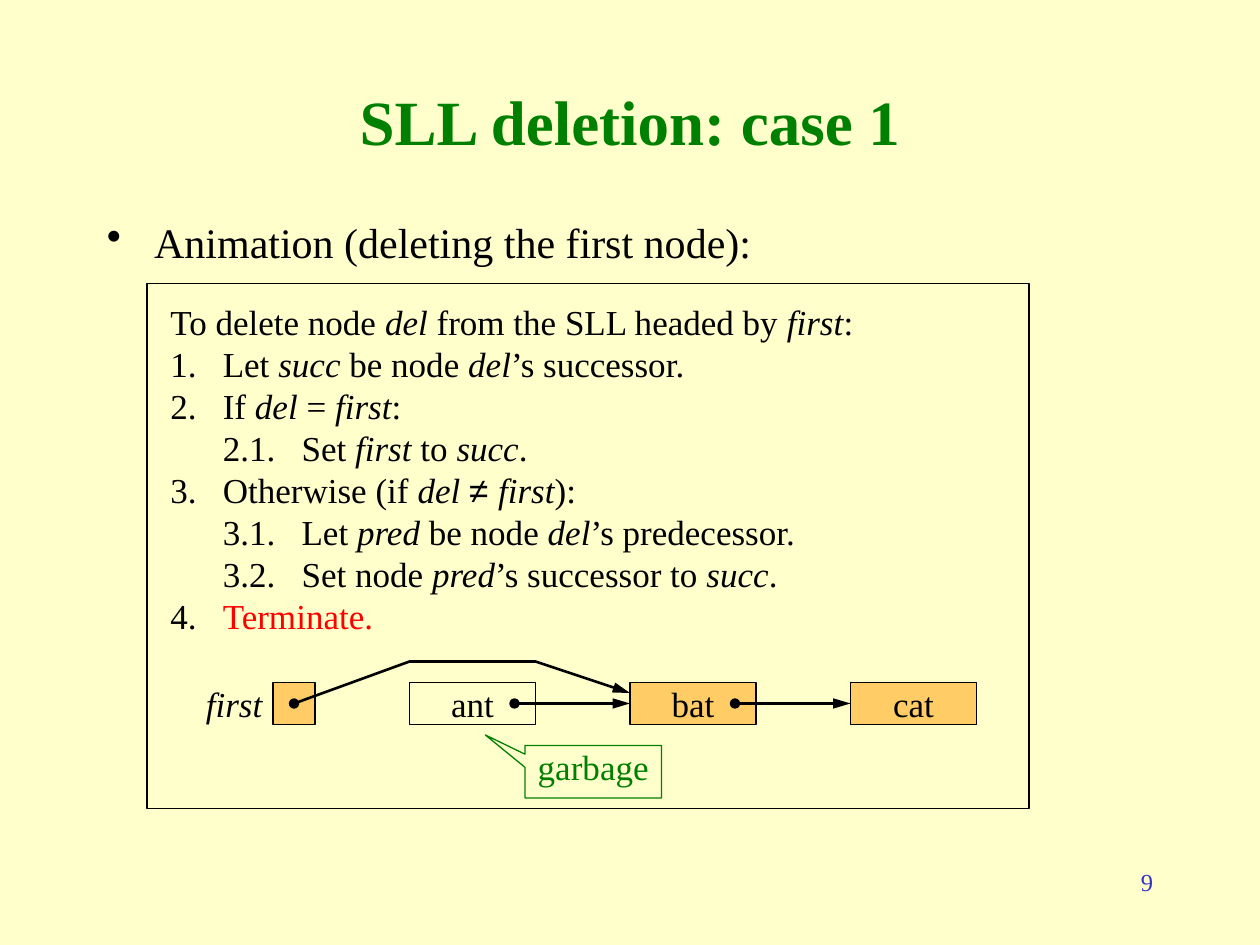
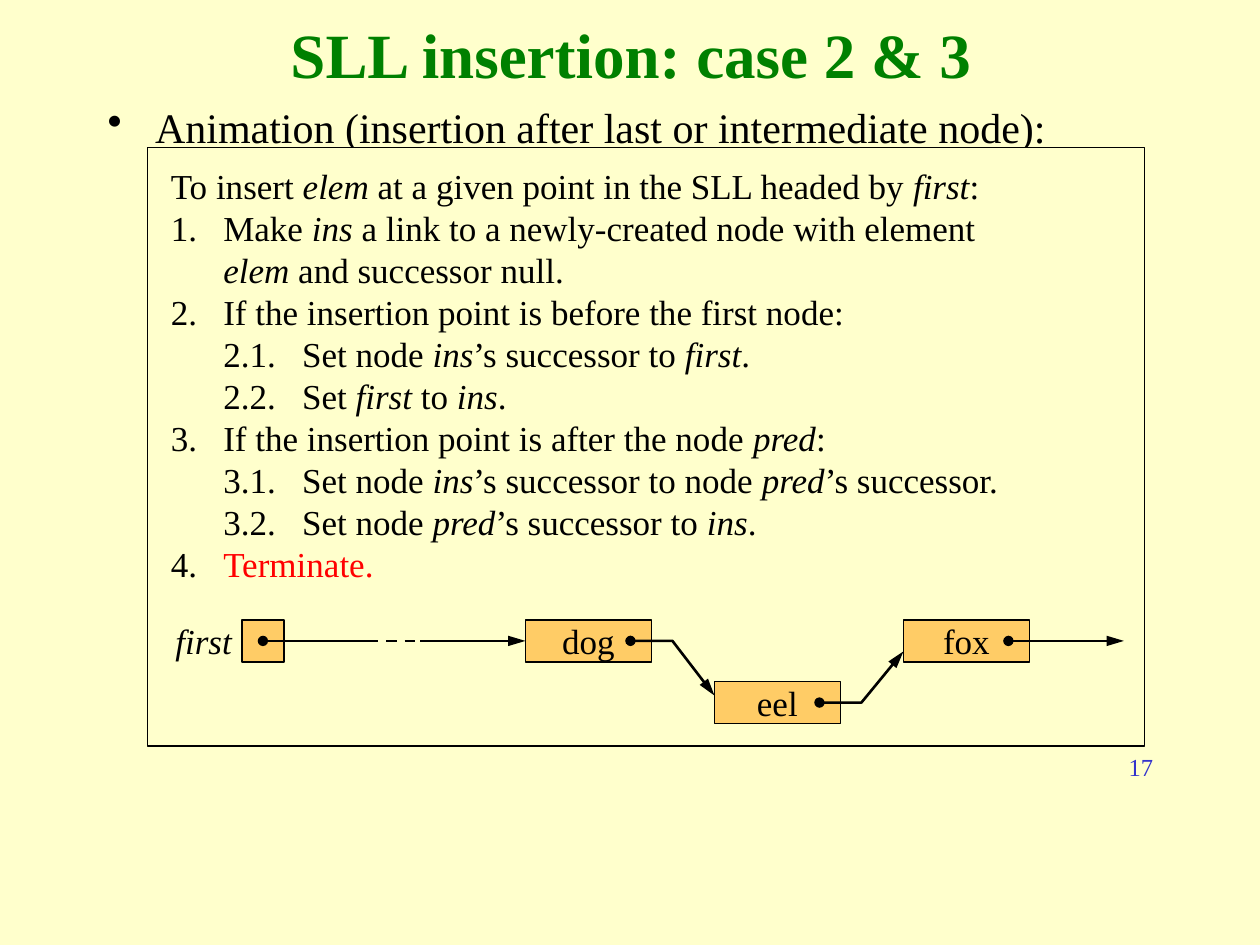
import pptx
import pptx.dml.color
import pptx.enum.dml
import pptx.enum.shapes
import pptx.enum.text
import pptx.oxml
import pptx.oxml.ns
import pptx.util
from lxml import etree

Pt = pptx.util.Pt
RGBColor = pptx.dml.color.RGBColor
ALIGN = pptx.enum.text.PP_ALIGN
ANCHOR = pptx.enum.text.MSO_ANCHOR
SHAPE = pptx.enum.shapes.MSO_SHAPE
qn = pptx.oxml.ns.qn

CREAM = RGBColor(0xFF, 0xFF, 0xCC)
ORANGE = RGBColor(0xFF, 0xCC, 0x66)
GREEN = RGBColor(0x00, 0x80, 0x00)
BLUE = RGBColor(0x33, 0x33, 0xCC)
RED = RGBColor(0xFF, 0x00, 0x00)
BLACK = RGBColor(0x00, 0x00, 0x00)

SERIF = "Times New Roman"
SYMBOL_FONT = "Arial"
LINE_PITCH = 24
CELL = 24          # height of a node, and side of the "first" cell
NODE_WIDTH = 72
STEP_INDENT = 30
SUBSTEP_INDENT = 75

# A mark switches a style on, and the same mark switches it off again.
ITALIC, HIGHLIGHT, SYMBOL = "*", "~", "^"

DELETION_STEPS = [
    "To delete node *del* from the SLL headed by *first*:",
    "1.\tLet *succ* be node *del*’s successor.",
    "2.\tIf *del* = *first*:",
    "2.1.\tSet *first* to *succ*.",
    "3.\tOtherwise (if *del *^≠ ^*first*):",
    "3.1.\tLet *pred* be node *del*’s predecessor.",
    "3.2.\tSet node *pred*’s successor to *succ*.",
    "4.\t~Terminate.~",
]
INSERTION_STEPS = [
    "To insert *elem* at a given point in the SLL headed by *first*:",
    "1.\tMake *ins* a link to a newly-created node with element *elem* and successor null.",
    "2.\tIf the insertion point is before the first node:",
    "2.1.\tSet node *ins*’s successor to *first*.",
    "2.2.\tSet *first* to *ins*.",
    "3.\tIf the insertion point is after the node *pred*:",
    "3.1.\tSet node *ins*’s successor to node *pred*’s successor.",
    "3.2.\tSet node *pred*’s successor to *ins*.",
    "4.\t~Terminate.~",
]


def split_marks(text):
    """Yield (piece, mark) pairs, where mark is None for plain text."""
    piece, active = "", None
    for char in text:
        if char in (ITALIC, HIGHLIGHT, SYMBOL):
            if piece:
                yield piece, active
            piece, active = "", None if char == active else char
        else:
            piece += char
    if piece:
        yield piece, active


def set_indent(paragraph, left, hanging, bullet=None):
    props = paragraph._p.get_or_add_pPr()
    props.set("marL", str(Pt(left)))
    props.set("indent", str(-Pt(hanging)))
    if bullet:
        etree.SubElement(props, qn("a:buChar")).set("char", bullet)


def write(frame, text, size=20, color=BLACK, bold=False, align=ALIGN.LEFT,
          anchor=ANCHOR.TOP, insets=(0, 0), pitch=None, bullet=None):
    """Fill a text frame, one paragraph for each line of text."""
    frame.word_wrap = True
    frame.vertical_anchor = anchor
    frame.margin_left = frame.margin_right = Pt(insets[0])
    frame.margin_top = frame.margin_bottom = Pt(insets[1])
    for number, line in enumerate(text.split("\n")):
        paragraph = frame.add_paragraph() if number else frame.paragraphs[0]
        label = line.partition("\t")[0]
        if bullet:
            set_indent(paragraph, 27, 27, bullet)
        elif label != line:
            if label.count(".") == 2:
                set_indent(paragraph, SUBSTEP_INDENT, SUBSTEP_INDENT - STEP_INDENT)
            else:
                set_indent(paragraph, STEP_INDENT, STEP_INDENT)
        paragraph.alignment = align
        if pitch:
            paragraph.line_spacing = Pt(pitch)
        for piece, mark in split_marks(line):
            run = paragraph.add_run()
            run.text = piece
            run.font.name = SYMBOL_FONT if mark == SYMBOL else SERIF
            run.font.size = Pt(size)
            run.font.bold = bold
            run.font.italic = mark == ITALIC
            run.font.color.rgb = RED if mark == HIGHLIGHT else color


def add_text(slide, text, left, top, width, height, insets=(7.2, 3.6), **style):
    box = slide.shapes.add_textbox(Pt(left), Pt(top), Pt(width), Pt(height))
    write(box.text_frame, text, insets=insets, **style)


def add_box(slide, left, top, width, height, fill=None, line=BLACK,
            kind=SHAPE.RECTANGLE):
    box = slide.shapes.add_shape(kind, Pt(left), Pt(top), Pt(width), Pt(height))
    box.shadow.inherit = False
    if fill is None:
        box.fill.background()
    else:
        box.fill.solid()
        box.fill.fore_color.rgb = fill
    box.line.color.rgb = line
    box.line.width = Pt(0.75)
    return box


def add_node(slide, element, left, top, fill=ORANGE):
    node = add_box(slide, left, top, NODE_WIDTH, CELL, fill)
    write(node.text_frame, element, align=ALIGN.CENTER, pitch=LINE_PITCH)


def link_start(left, top, width=NODE_WIDTH):
    """Centre of the link field at the right end of a node."""
    return left + width - CELL / 2, top + CELL / 2


def add_head(slide, label_left, label_width, left, top):
    """Draw the cell that holds the link to the first node, and its label."""
    add_box(slide, left, top, CELL, CELL, ORANGE)
    add_text(slide, "*first*", label_left, top, label_width, CELL, insets=(0, 0),
             align=ALIGN.RIGHT, pitch=LINE_PITCH)


def add_link(slide, *points, dot=True, arrow=True, dashed=False):
    """Draw a link through the points: straight for two, bent for more."""
    ends = [(Pt(x), Pt(y)) for x, y in points]
    if len(ends) == 2:
        link = slide.shapes.add_connector(
            pptx.enum.shapes.MSO_CONNECTOR.STRAIGHT, *ends[0], *ends[1])
    else:
        outline = slide.shapes.build_freeform(*ends[0], scale=1.0)
        outline.add_line_segments(ends[1:], close=False)
        link = outline.convert_to_shape()
        link.fill.background()
        link.shadow.inherit = False
    link.line.color.rgb = BLACK
    link.line.width = Pt(1.5)
    if dashed:
        link.line.dash_style = pptx.enum.dml.MSO_LINE.DASH
    stroke = link.line._get_or_add_ln()
    if dot:
        etree.SubElement(stroke, qn("a:headEnd"), type="oval", w="med", len="med")
    if arrow:
        etree.SubElement(stroke, qn("a:tailEnd"), type="triangle", w="med", len="lg")
    if len(ends) == 2:
        etree.SubElement(link._element.spPr, qn("a:effectLst"))


def add_frame(prs, title, title_at, topic, topic_at, number, number_top):
    """Add a slide with its title, bulleted topic and page number."""
    slide = prs.slides.add_slide(prs.slide_layouts[6])
    add_text(slide, number, 516, number_top, 150, 36, size=14, color=BLUE,
             align=ALIGN.RIGHT)
    add_text(slide, title, *title_at, 612, 54, size=36, color=GREEN, bold=True,
             align=ALIGN.CENTER, anchor=ANCHOR.MIDDLE)
    add_text(slide, topic, *topic_at, 612, 40, size=24, bullet="•")
    return slide


def add_algorithm(slide, steps, left, top, width, height):
    add_box(slide, left, top, width, height, CREAM)
    add_text(slide, "\n".join(steps), left + 6.25, top + 6.25, 492,
             LINE_PITCH * len(steps) + 8, pitch=LINE_PITCH)


def build_deletion(prs):
    slide = add_frame(prs, "SLL deletion: case 1", (54, 42),
                      "Animation (deleting the first node):", (54, 120), "9", 492)
    add_algorithm(slide, DELETION_STEPS, 84, 162, 504, 300)

    row = 390
    head, ant, bat, cat = 156, 234, 360, 486
    add_head(slide, 102, 48, head, row)
    add_node(slide, "ant", ant, row, fill=None)
    add_node(slide, "bat", bat, row)
    add_node(slide, "cat", cat, row)
    for node, successor in ((ant, bat), (bat, cat)):
        add_link(slide, link_start(node, row), (successor, row + CELL / 2))
    null_link = link_start(cat, row)
    add_link(slide, null_link, null_link, arrow=False)
    add_link(slide, link_start(head, row, CELL), (ant, row - 12),
             (ant + NODE_WIDTH, row - 12), (bat, row + 6))

    garbage = add_box(slide, 300, 426, 78, 30, line=GREEN,
                      kind=SHAPE.RECTANGULAR_CALLOUT)
    garbage.adjustments[0] = -0.79
    garbage.adjustments[1] = -0.7
    write(garbage.text_frame, "garbage", color=GREEN, align=ALIGN.CENTER,
          insets=(3, 0), pitch=LINE_PITCH)


def build_insertion(prs):
    slide = add_frame(prs, "SLL insertion: case 2 & 3", (54.5, 3.5),
                      "Animation (insertion after last or intermediate node):",
                      (54.5, 54.5), "17", 426)
    add_algorithm(slide, INSERTION_STEPS, 84.25, 84.25, 570, 342)

    row, inserted_row = 354.25, 389.5
    middle = row + CELL / 2
    head, dog, eel, fox = 138.25, 300.25, 408.25, 516.25
    add_head(slide, 90.5, 42, head, row)
    add_node(slide, "dog", dog, row)
    add_node(slide, "fox", fox, row)
    add_node(slide, "eel", eel, inserted_row)

    gap_start, gap_end = (210.25, middle), (240.25, middle)
    add_link(slide, link_start(head, row, CELL), gap_start, arrow=False)
    add_link(slide, gap_end, (dog, middle), dot=False)
    add_link(slide, gap_start, gap_end, dot=False, arrow=False, dashed=True)
    add_link(slide, link_start(fox, row), (642.25, middle))
    for node, top, successor, entry in ((dog, row, eel, inserted_row + 8),
                                        (eel, inserted_row, fox, row + 18)):
        x, y = link_start(node, top)
        add_link(slide, (x, y), (x + CELL, y), (successor, entry))


def main():
    prs = pptx.Presentation()
    prs.slide_width, prs.slide_height = Pt(720), Pt(540)
    background = prs.slide_master.background.fill
    background.solid()
    background.fore_color.rgb = CREAM
    build_deletion(prs)
    build_insertion(prs)
    prs.save("out.pptx")


if __name__ == "__main__":
    main()
